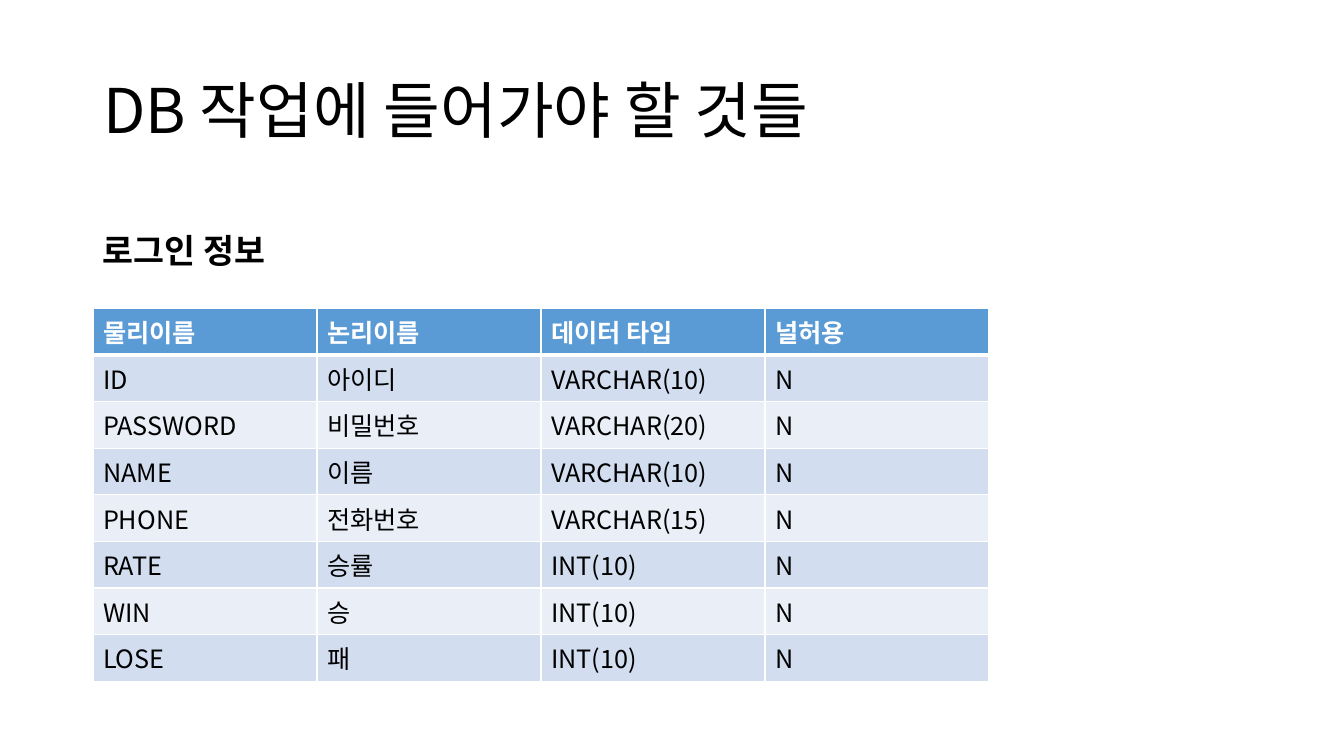
from dataclasses import dataclass
from typing import Any

from lxml.etree import SubElement
from pptx import Presentation
from pptx.dml.color import RGBColor
from pptx.enum.text import MSO_ANCHOR, MSO_AUTO_SIZE, PP_ALIGN
from pptx.oxml.ns import qn
from pptx.util import Inches, Pt

SLIDE_WIDTH, SLIDE_HEIGHT = Inches(13.33), Inches(7.5)
GRID_COLUMNS, GRID_ROWS = 12, 75


@dataclass(frozen=True)
class Theme:
    font: str = "Noto Sans CJK KR"
    text: str = "000000"
    white: str = "FFFFFF"
    header: str = "5B9BD5"
    bands: tuple[str, str] = ("D2DEEF", "EAEFF7")
    title_size: int = 44
    heading_size: int = 24
    table_size: int = 18
    border: int = 1
    header_rule: int = 3


@dataclass(frozen=True)
class Area:
    """A place on the slide, in grid columns and rows."""
    column: float
    row: float
    columns: float
    rows: float

    def lengths(self) -> dict[str, int]:
        return {
            "left": round(SLIDE_WIDTH * self.column / GRID_COLUMNS),
            "top": round(SLIDE_HEIGHT * self.row / GRID_ROWS),
            "width": round(SLIDE_WIDTH * self.columns / GRID_COLUMNS),
            "height": round(SLIDE_HEIGHT * self.rows / GRID_ROWS),
        }


@dataclass(frozen=True)
class TextStyle:
    size: int
    color: str
    bold: bool = False


@dataclass(frozen=True)
class TextBlock:
    text: str
    area: Area
    style: TextStyle
    anchor: MSO_ANCHOR


@dataclass(frozen=True)
class Field:
    physical_name: str
    logical_name: str
    data_type: str
    nullable: str = "N"

    def values(self) -> tuple[str, ...]:
        return self.physical_name, self.logical_name, self.data_type, self.nullable


THEME = Theme()
LEFT = 0.83

TITLE = TextBlock("DB 작업에 들어가야 할 것들", Area(LEFT, 4, 10.35, 14.5),
                  TextStyle(THEME.title_size, THEME.text), MSO_ANCHOR.MIDDLE)
HEADING = TextBlock("로그인 정보", Area(LEFT, 18.4, 5.08, 9),
                    TextStyle(THEME.heading_size, THEME.text, True), MSO_ANCHOR.BOTTOM)

TABLE_AREA = Area(LEFT, 30.6, 8, 32.4)
FIELDS = [
    Field("물리이름", "논리이름", "데이터 타입", "널허용"),
    Field("ID", "아이디", "VARCHAR(10)"),
    Field("PASSWORD", "비밀번호", "VARCHAR(20)"),
    Field("NAME", "이름", "VARCHAR(10)"),
    Field("PHONE", "전화번호", "VARCHAR(15)"),
    Field("RATE", "승률", "INT(10)"),
    Field("WIN", "승", "INT(10)"),
    Field("LOSE", "패", "INT(10)"),
]


def apply_format(target: Any, values: dict[str, Any]) -> None:
    for name, value in values.items():
        setattr(target, name, value)


def write_text(paragraph: Any, text: str, style: TextStyle) -> None:
    run = paragraph.add_run()
    run.text = text
    apply_format(run.font, {"name": THEME.font, "size": Pt(style.size), "bold": style.bold})
    run.font.color.rgb = RGBColor.from_string(style.color)
    # Hangul takes the East Asian typeface
    SubElement(run._r.get_or_add_rPr(), qn("a:ea"), typeface=THEME.font)


def fill_text_block(shape: Any, block: TextBlock) -> None:
    apply_format(shape, block.area.lengths())
    apply_format(shape.text_frame, {
        "word_wrap": True,
        "auto_size": MSO_AUTO_SIZE.NONE,
        "vertical_anchor": block.anchor,
    })
    paragraph = shape.text_frame.paragraphs[0]
    apply_format(paragraph, {"alignment": PP_ALIGN.LEFT, "line_spacing": 0.9})
    write_text(paragraph, block.text, block.style)


def add_borders(cell: Any, top: int, bottom: int) -> None:
    properties = cell._tc.get_or_add_tcPr()
    widths = {"lnL": THEME.border, "lnR": THEME.border, "lnT": top, "lnB": bottom}
    for side, width in widths.items():
        line = SubElement(properties, qn(f"a:{side}"), w=str(Pt(width)))
        fill = SubElement(line, qn("a:solidFill"))
        SubElement(fill, qn("a:srgbClr"), val=THEME.white)


def add_field_table(slide: Any, fields: list[Field], area: Area) -> None:
    column_count = len(fields[0].values())
    table = slide.shapes.add_table(len(fields), column_count, **area.lengths()).table
    for row, field in enumerate(fields):
        is_header = row == 0
        style = TextStyle(THEME.table_size, THEME.white if is_header else THEME.text, is_header)
        color = THEME.header if is_header else THEME.bands[(row - 1) % 2]
        top = THEME.header_rule if row == 1 else THEME.border
        bottom = THEME.header_rule if is_header else THEME.border
        for column, value in enumerate(field.values()):
            cell = table.cell(row, column)
            add_borders(cell, top, bottom)
            cell.fill.solid()
            cell.fill.fore_color.rgb = RGBColor.from_string(color)
            write_text(cell.text_frame.paragraphs[0], value, style)


def main() -> None:
    presentation = Presentation()
    apply_format(presentation, {"slide_width": SLIDE_WIDTH, "slide_height": SLIDE_HEIGHT})
    slide = presentation.slides.add_slide(presentation.slide_layouts.get_by_name("Title Only"))

    # Title and section heading
    fill_text_block(slide.shapes.title, TITLE)
    fill_text_block(slide.shapes.add_textbox(**HEADING.area.lengths()), HEADING)

    # Login fields
    add_field_table(slide, FIELDS, TABLE_AREA)

    presentation.save("out.pptx")


if __name__ == "__main__":
    main()
